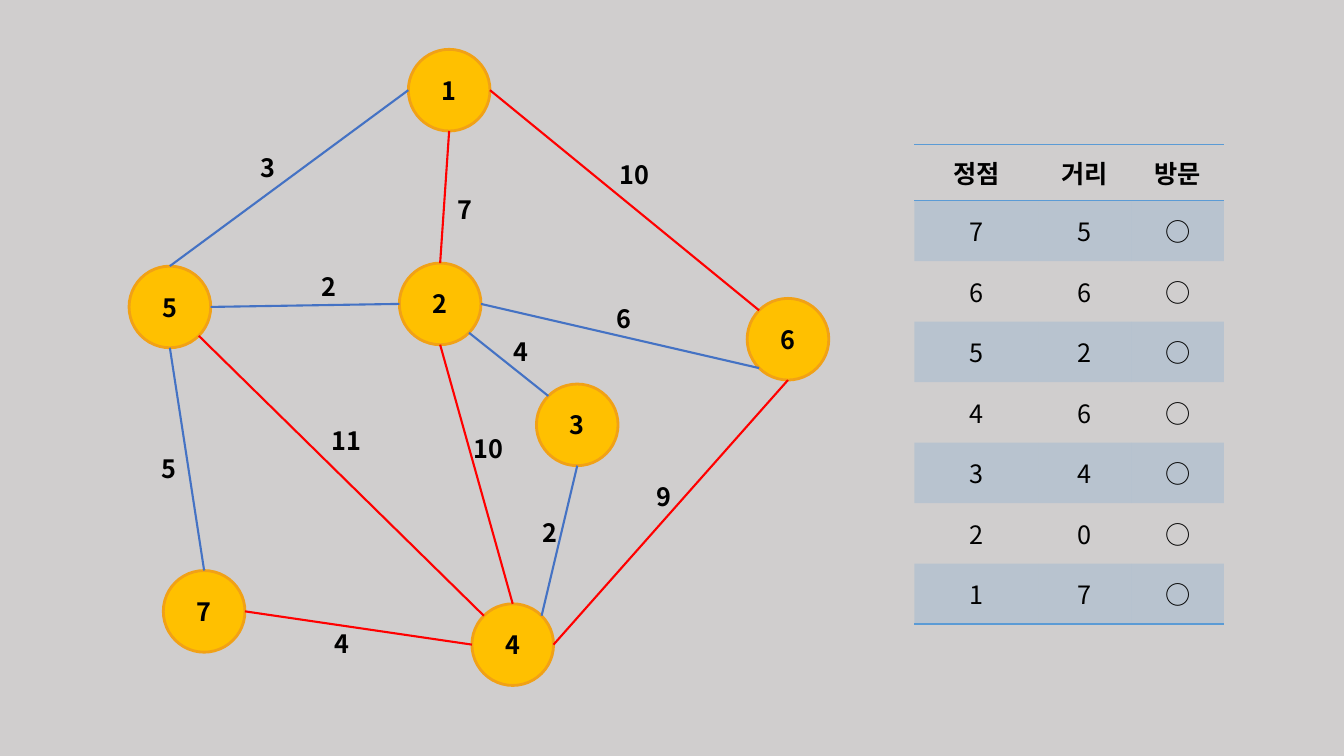
import math

import pptx
import pptx.dml.color
import pptx.enum.shapes
import pptx.enum.text
import pptx.oxml.ns
import pptx.util
from lxml import etree

RGBColor = pptx.dml.color.RGBColor
BACKGROUND = RGBColor(0xD0, 0xCE, 0xCE)
NODE_FILL = RGBColor(0xFF, 0xC0, 0x00)
NODE_LINE = RGBColor(0xF1, 0xA1, 0x16)
BLUE = RGBColor(0x44, 0x72, 0xC4)
RED = RGBColor(0xFF, 0x00, 0x00)
TABLE_BLUE = RGBColor(0x5B, 0x9B, 0xD5)
BLACK = RGBColor(0x00, 0x00, 0x00)

FONT = "Noto Sans CJK KR"
PLAIN_TABLE_STYLE = "{2D5ABB26-0587-4C30-8999-92F81FD0307C}"
SLIDE_WIDTH = pptx.util.Inches(13.33)
SLIDE_HEIGHT = pptx.util.Inches(7.5)

# Connection sites of an ellipse, counter-clockwise from the top
(TOP, TOP_LEFT, LEFT, BOTTOM_LEFT,
 BOTTOM, BOTTOM_RIGHT, RIGHT, TOP_RIGHT) = range(8)

# Vertex: centre in percent of the slide's width and height
NODES = {
    1: (33.42, 11.93),
    6: (58.63, 44.87),
    5: (12.64, 40.6),
    4: (38.15, 85.27),
    7: (15.19, 80.87),
    3: (42.95, 56.2),
    2: (32.75, 40.2),
}

# Start vertex and site, end vertex and site, colour, weight, label centre
EDGES = [
    (1, RIGHT, 6, TOP_LEFT, RED, 10, (47.3, 23.07)),
    (5, TOP, 1, LEFT, BLUE, 3, (19.99, 22.13)),
    (2, RIGHT, 6, BOTTOM_LEFT, BLUE, 6, (46.47, 42.13)),
    (3, BOTTOM, 4, TOP_RIGHT, BLUE, 2, (40.92, 70.4)),
    (4, RIGHT, 6, BOTTOM, RED, 9, (49.4, 65.73)),
    (2, BOTTOM_RIGHT, 3, TOP_LEFT, BLUE, 4, (38.82, 46.53)),
    (5, BOTTOM, 7, TOP, BLUE, 5, (12.64, 62)),
    (1, BOTTOM, 2, TOP, RED, 7, (34.62, 27.73)),
    (5, RIGHT, 2, LEFT, BLUE, 2, (24.49, 37.87)),
    (2, BOTTOM, 4, TOP, RED, 10, (36.42, 59.33)),
    (7, RIGHT, 4, LEFT, RED, 4, (25.47, 85.07)),
    (5, BOTTOM_RIGHT, 4, TOP_LEFT, RED, 11, (25.84, 58.27)),
]

HEADER = ("정점", "거리", "방문")
DISTANCES = {7: 5, 6: 6, 5: 2, 4: 6, 3: 4, 2: 0, 1: 7}


def across(percent):
    return round(SLIDE_WIDTH * percent / 100)


def down(percent):
    return round(SLIDE_HEIGHT * percent / 100)


def add_element(parent, tag, **attributes):
    return etree.SubElement(parent, pptx.oxml.ns.qn(tag), **attributes)


def write_text(frame, text, size=18, bold=True, color=BLACK, align=None):
    para = frame.paragraphs[0]
    para.alignment = align
    span = para.add_run()
    span.text = str(text)
    span.font.size = pptx.util.Pt(size)
    span.font.bold = bold
    span.font.color.rgb = color
    span.font.name = FONT
    add_element(span.font._element, "a:ea", typeface=FONT)


def add_node(slide, number, center):
    diameter = down(10.8)
    node = slide.shapes.add_shape(
        pptx.enum.shapes.MSO_SHAPE.OVAL,
        across(center[0]) - diameter // 2, down(center[1]) - diameter // 2,
        diameter, diameter)
    node.shadow.inherit = False
    node.fill.solid()
    node.fill.fore_color.rgb = NODE_FILL
    node.line.color.rgb = NODE_LINE
    node.line.width = pptx.util.Pt(2)
    node.text_frame.vertical_anchor = pptx.enum.text.MSO_ANCHOR.MIDDLE
    write_text(node.text_frame, number, align=pptx.enum.text.PP_ALIGN.CENTER)
    return node


def site_point(node, site):
    """Return the place of an ellipse's connection site."""
    angle = math.radians(90 + 45 * site)
    radius = node.width / 2
    return (round(node.left + radius * (1 + math.cos(angle))),
            round(node.top + radius * (1 - math.sin(angle))))


def add_edge(slide, start, start_site, end, end_site, color):
    """Draw a line glued to sites that begin_connect cannot place on ellipses."""
    edge = slide.shapes.add_connector(
        pptx.enum.shapes.MSO_CONNECTOR.STRAIGHT,
        *site_point(start, start_site), *site_point(end, end_site))
    edge.line.color.rgb = color
    edge.line.width = pptx.util.Pt(1.5)
    add_element(edge._element.spPr, "a:effectLst")
    joints = edge._element.find(".//" + pptx.oxml.ns.qn("p:cNvCxnSpPr"))
    for tag, node, site in (("a:stCxn", start, start_site),
                            ("a:endCxn", end, end_site)):
        add_element(joints, tag, id=str(node.shape_id), idx=str(site))


def add_weight(slide, weight, center):
    width = across(1.45 + 1.2 * len(str(weight)))
    height = down(5.33)
    box = slide.shapes.add_textbox(
        across(center[0]) - width // 2, down(center[1]) - height // 2,
        width, height)
    box.text_frame.word_wrap = False
    box.text_frame.auto_size = pptx.enum.text.MSO_AUTO_SIZE.SHAPE_TO_FIT_TEXT
    write_text(box.text_frame, weight)


def add_border(cell, tag):
    border = add_element(cell._tc.get_or_add_tcPr(), tag,
                         w=str(pptx.util.Pt(1)))
    fill = add_element(border, "a:solidFill")
    add_element(fill, "a:srgbClr", val=str(TABLE_BLUE))


def fill_band(cell):
    cell.fill.solid()
    cell.fill.fore_color.rgb = TABLE_BLUE
    color = cell._tc.tcPr.find(
        pptx.oxml.ns.qn("a:solidFill") + "/" + pptx.oxml.ns.qn("a:srgbClr"))
    add_element(color, "a:alpha", val="20000")


def add_distance_table(slide):
    rows = [HEADER] + [(vertex, distance, "○")
                       for vertex, distance in DISTANCES.items()]
    widths = [across(share) for share in (9.23, 6.9, 6.9)]
    heights = [down(7.47)] + [down(8)] * len(DISTANCES)
    table = slide.shapes.add_table(
        len(rows), len(widths), across(68.04), down(19.07),
        sum(widths), sum(heights)).table
    table.first_row = table.horz_banding = False
    style = table._tbl.tblPr.find(pptx.oxml.ns.qn("a:tableStyleId"))
    style.text = PLAIN_TABLE_STYLE
    for column, width in zip(table.columns, widths):
        column.width = width
    for number, (values, height) in enumerate(zip(rows, heights)):
        table.rows[number].height = height
        for cell, value in zip(table.rows[number].cells, values):
            write_text(cell.text_frame, value, bold=number == 0,
                       align=pptx.enum.text.PP_ALIGN.CENTER)
            cell.vertical_anchor = pptx.enum.text.MSO_ANCHOR.MIDDLE
            if number == 0:
                add_border(cell, "a:lnT")
            if number in (0, len(rows) - 1):
                add_border(cell, "a:lnB")
            if number % 2:
                fill_band(cell)
            else:
                cell.fill.background()


def main():
    deck = pptx.Presentation()
    deck.slide_width = SLIDE_WIDTH
    deck.slide_height = SLIDE_HEIGHT
    slide = deck.slides.add_slide(deck.slide_layouts[6])
    slide.background.fill.solid()
    slide.background.fill.fore_color.rgb = BACKGROUND

    add_distance_table(slide)
    nodes = {number: add_node(slide, number, center)
             for number, center in NODES.items()}
    for start, start_site, end, end_site, color, _, _ in EDGES:
        add_edge(slide, nodes[start], start_site, nodes[end], end_site, color)
    for *_, weight, center in EDGES:
        add_weight(slide, weight, center)
    deck.save("out.pptx")


if __name__ == "__main__":
    main()
